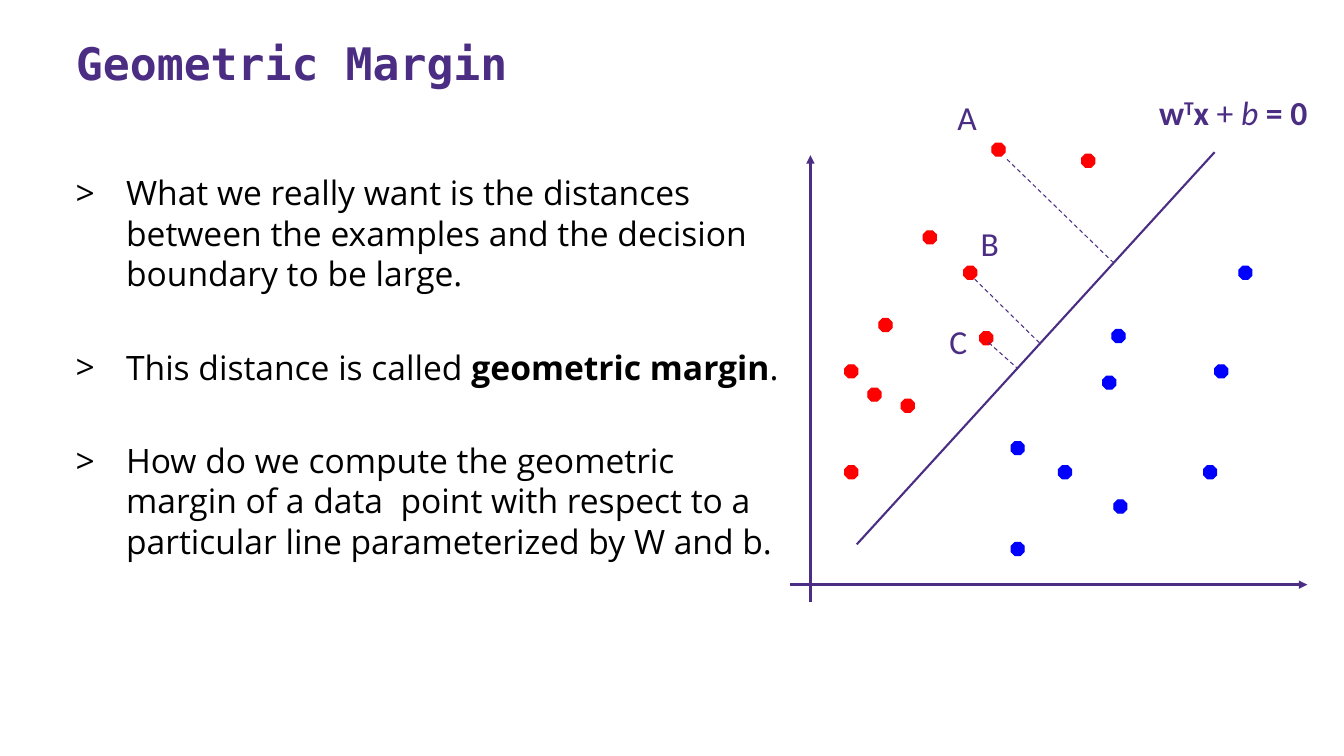
from dataclasses import dataclass

from lxml.etree import SubElement
from pptx import Presentation
from pptx.dml.color import RGBColor
from pptx.enum.dml import MSO_LINE
from pptx.enum.shapes import MSO_CONNECTOR, MSO_SHAPE
from pptx.enum.text import MSO_ANCHOR, MSO_AUTO_SIZE, PP_ALIGN
from pptx.oxml.ns import qn
from pptx.util import Pt


@dataclass(frozen=True)
class Theme:
    """Colours, fonts and sizes of the slide."""
    purple: RGBColor = RGBColor(0x4B, 0x2E, 0x83)
    black: RGBColor = RGBColor(0, 0, 0)
    white: RGBColor = RGBColor(0xFF, 0xFF, 0xFF)
    red: RGBColor = RGBColor(0xFF, 0, 0)
    blue: RGBColor = RGBColor(0, 0, 0xFF)
    title_font: str = "DejaVu Sans Mono"
    body_font: str = "Open Sans"
    label_font: str = "Calibri"
    title_size: int = 32
    text_size: int = 24
    axis_width: float = 2
    boundary_width: float = 1.5
    thin_width: float = 0.75
    dot_size: float = 9.4


THEME = Theme()

BULLETS = [
    [("What we really want is the distances between the examples and the "
      "decision boundary to be large.", False)],
    [("This distance is called ", False), ("geometric margin", True), (".", False)],
    [("How do we compute the geometric margin of a data  point with respect to "
      "a particular line parameterized by W and b.", False)],
]

POSITIVE_EXAMPLES = [
    (124.3, 130.1), (63.8, 167.5), (79.7, 225.1), (39.4, 272.6), (95.5, 104.9),
    (39.4, 200.6), (55.9, 217.2), (135.8, 176.9), (144.5, 42.2), (208.6, 50.2),
]
NEGATIVE_EXAMPLES = [
    (230.2, 175.4), (192, 272.6), (295.7, 272.6), (158.2, 327.4), (223.7, 208.6),
    (158.2, 255.4), (231.6, 297.1), (303.6, 200.6), (320.9, 130.1),
]
AXES = [((14.9, 369.8), (14.9, 50.9)), ((0.5, 357.6), (369.8, 357.6))]
BOUNDARY = ((48, 328.8), (303.6, 48.7))
DISTANCES = [
    ((155.3, 53.8), (231.6, 127.9)),
    ((132.2, 139.4), (179.8, 186.2)),
    ((142.3, 184.8), (163.2, 203.5)),
]
POINT_LABELS = [("A", 112.8, 5.5), ("B", 129.4, 95.5), ("C", 107, 165.4)]
EQUATION = [
    ("w", {"bold": True}),
    ("T", {"bold": True, "baseline": 30000}),
    ("x ", {"bold": True}),
    ("+ ", {}),
    ("b", {"italic": True}),
    (" = 0", {"bold": True}),
]


def add_run(paragraph, text, font=THEME.label_font, size=THEME.text_size,
            color=THEME.purple, bold=False, italic=False, baseline=0):
    """Append formatted text to a paragraph."""
    run = paragraph.add_run()
    run.text = text
    run.font.name = font
    run.font.size = Pt(size)
    run.font.color.rgb = color
    run.font.bold = bold
    run.font.italic = italic
    if baseline:
        run.font._element.set("baseline", str(baseline))


def add_frame(slide, left, top, width, height, wrap=True, fill=None):
    """Add a text box, filled if a colour is given, and return its text frame."""
    box = slide.shapes.add_textbox(Pt(left), Pt(top), Pt(width), Pt(height))
    if fill is not None:
        box.fill.solid()
        box.fill.fore_color.rgb = fill
    box.text_frame.word_wrap = wrap
    return box.text_frame


def add_line(slide, left, top, ends, width, arrow=False, dashed=False):
    """Draw a straight line between two points given relative to a box."""
    (x1, y1), (x2, y2) = ends
    connector = slide.shapes.add_connector(
        MSO_CONNECTOR.STRAIGHT,
        Pt(left + x1), Pt(top + y1), Pt(left + x2), Pt(top + y2))
    connector.line.color.rgb = THEME.purple
    connector.line.width = Pt(width)
    if dashed:
        connector.line.dash_style = MSO_LINE.DASH
    if arrow:
        SubElement(connector.line._get_or_add_ln(), qn("a:tailEnd"), type="triangle")
    SubElement(connector._element.spPr, qn("a:effectLst"))


def add_examples(slide, left, top, positions, color):
    """Draw one class of examples as octagonal dots."""
    size = Pt(THEME.dot_size)
    for x, y in positions:
        dot = slide.shapes.add_shape(
            MSO_SHAPE.OCTAGON, Pt(left + x), Pt(top + y), size, size)
        dot.shadow.inherit = False
        dot.fill.solid()
        dot.fill.fore_color.rgb = color
        dot.line.color.rgb = color
        dot.line.width = Pt(THEME.thin_width)


def place_title(slide, text, left, top, width, height):
    """Move and format the title placeholder."""
    title = slide.shapes.title
    title.left, title.top = Pt(left), Pt(top)
    title.width, title.height = Pt(width), Pt(height)
    frame = title.text_frame
    frame.auto_size = MSO_AUTO_SIZE.NONE
    frame.vertical_anchor = MSO_ANCHOR.BOTTOM
    heading = frame.paragraphs[0]
    heading.alignment = PP_ALIGN.LEFT
    add_run(heading, text, font=THEME.title_font, size=THEME.title_size, bold=True)


def add_bullets(slide, bullets, left, top, width, height):
    """Write the bulleted statements."""
    frame = add_frame(slide, left, top, width, height, fill=THEME.white)
    for index, parts in enumerate(bullets):
        statement = frame.add_paragraph() if index else frame.paragraphs[0]
        statement.space_before = Pt(38 if index else 0)
        properties = statement._p.get_or_add_pPr()
        properties.set("marL", str(Pt(36)))
        properties.set("indent", str(-Pt(36)))
        SubElement(properties, qn("a:buFont"), typeface=THEME.body_font)
        SubElement(properties, qn("a:buChar"), char=">")
        for text, bold in parts:
            add_run(statement, text, font=THEME.body_font, color=THEME.black, bold=bold)


def add_margin_plot(slide, left, top):
    """Draw axes, examples, decision boundary, distances and labels."""
    for axis in AXES:
        add_line(slide, left, top, axis, THEME.axis_width, arrow=True)
    add_examples(slide, left, top, POSITIVE_EXAMPLES, THEME.red)
    add_examples(slide, left, top, NEGATIVE_EXAMPLES, THEME.blue)
    add_line(slide, left, top, BOUNDARY, THEME.boundary_width)
    for distance in DISTANCES:
        add_line(slide, left, top, distance, THEME.thin_width, dashed=True)
    for letter, x, y in POINT_LABELS:
        label = add_frame(slide, left + x, top + y, 28, 36, wrap=False)
        add_run(label.paragraphs[0], letter)
    equation = add_frame(slide, left + 256.8, top + 1.9, 146, 36)
    for text, style in EQUATION:
        add_run(equation.paragraphs[0], text, **style)


def main():
    """Build and save the slide."""
    deck = Presentation()
    deck.slide_width, deck.slide_height = Pt(960), Pt(540)
    slide = deck.slides.add_slide(deck.slide_layouts.get_by_name("Title Only"))
    add_bullets(slide, BULLETS, left=47, top=119.5, width=525.6, height=346)
    place_title(slide, "Geometric Margin", left=47, top=8.6, width=860, height=59)
    add_margin_plot(slide, left=564, top=60)
    deck.save("out.pptx")


if __name__ == "__main__":
    main()
